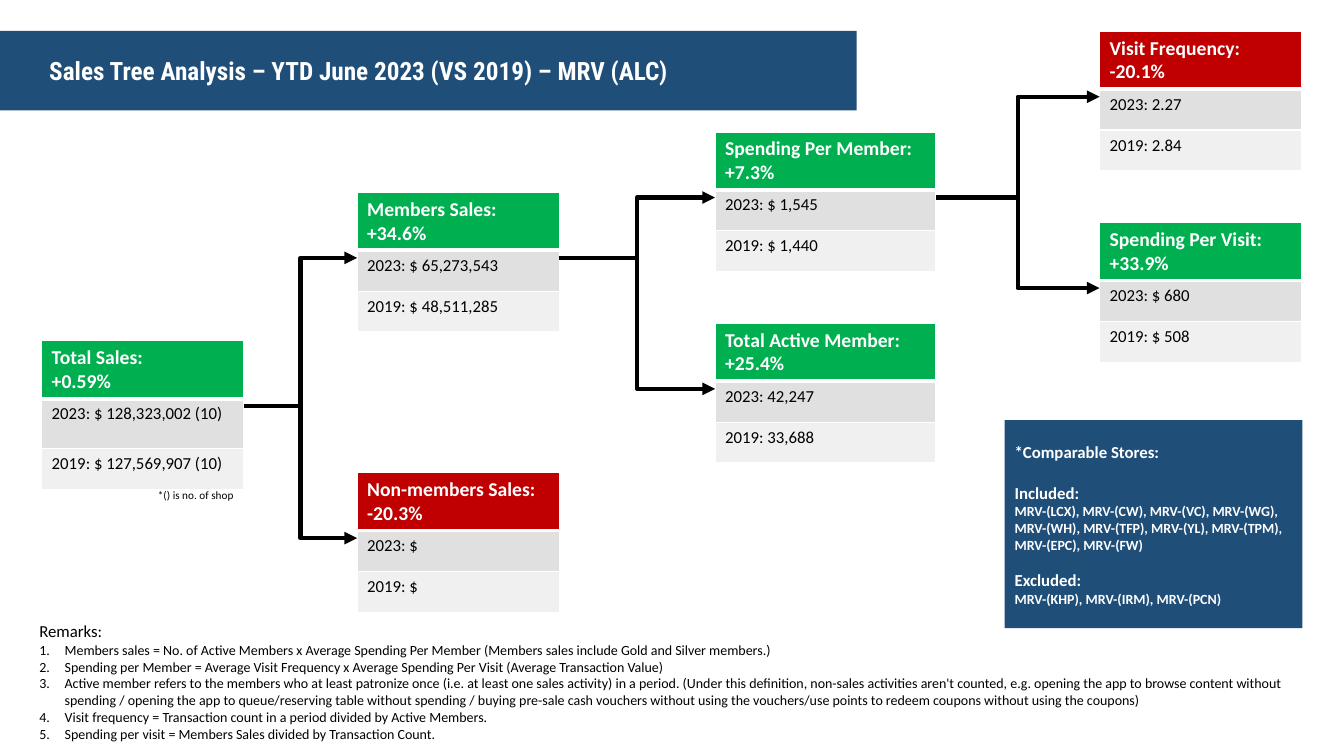
from dataclasses import dataclass
from typing import Any

from lxml.etree import SubElement
from pptx import Presentation
from pptx.dml.color import RGBColor
from pptx.enum.shapes import MSO_CONNECTOR, MSO_SHAPE
from pptx.enum.text import MSO_ANCHOR, MSO_AUTO_SIZE, PP_ALIGN
from pptx.oxml.ns import qn
from pptx.util import Cm, Pt

NAVY = RGBColor(0x1F, 0x4E, 0x79)
GREEN = RGBColor(0x00, 0xB0, 0x50)
RED = RGBColor(0xC0, 0x00, 0x00)
DARK = RGBColor(0xE0, 0xE0, 0xE0)
LIGHT = RGBColor(0xF0, 0xF0, 0xF0)
WHITE = RGBColor(0xFF, 0xFF, 0xFF)
BLACK = RGBColor(0x00, 0x00, 0x00)

HEAD, ROW, PORT = 1.4, 1.03, 1.65

FRAME = {
    "word_wrap": True,
    "auto_size": MSO_AUTO_SIZE.NONE,
    "vertical_anchor": MSO_ANCHOR.TOP,
    "margin_left": Cm(0.25),
    "margin_right": Cm(0.25),
    "margin_top": Cm(0.13),
    "margin_bottom": Cm(0.13),
}
PARA = {
    "alignment": PP_ALIGN.LEFT,
    "space_before": Pt(0),
    "space_after": Pt(0),
    "line_spacing": 1.0,
}


@dataclass
class Node:
    """A box of the sales tree, in centimetres."""
    name: str
    rate: str
    now: str
    past: str
    left: float
    top: float
    width: float = 5.1
    tall: float = ROW


@dataclass
class Line:
    text: str
    size: float
    gap: float = 0


TREE = {
    "total": Node("Total Sales:", "+0.59%", "$ 128,323,002 (10)", "$ 127,569,907 (10)",
                  1.05, 8.59, tall=1.26),
    "member": Node("Members Sales:", "+34.6%", "$ 65,273,543", "$ 48,511,285", 9, 4.85),
    "spend": Node("Spending Per Member:", "+7.3%", "$ 1,545", "$ 1,440", 18.02, 3.33, 5.57),
    "active": Node("Total Active Member:", "+25.4%", "42,247", "33,688", 18.02, 8.15, 5.57),
    "freq": Node("Visit Frequency:", "-20.1%", "2.27", "2.84", 27.71, 0.79),
    "visit": Node("Spending Per Visit:", "+33.9%", "$ 680", "$ 508", 27.71, 5.61),
    "other": Node("Non-members Sales:", "-20.3%", "$", "$", 9, 11.91),
}
LINKS = [("total", "other"), ("total", "member"), ("member", "spend"),
         ("member", "active"), ("spend", "freq"), ("spend", "visit")]

STORES = [
    Line("*Comparable Stores:", 12),
    Line("Included:", 12, 14.6),
    Line("MRV-(LCX), MRV-(CW), MRV-(VC), MRV-(WG),", 10),
    Line("MRV-(WH), MRV-(TFP), MRV-(YL), MRV-(TPM),", 10),
    Line("MRV-(EPC), MRV-(FW)", 10),
    Line("Excluded:", 12, 12.2),
    Line("MRV-(KHP), MRV-(IRM), MRV-(PCN)", 10),
]
NOTES = [
    Line("Remarks:", 12),
    Line("Members sales = No. of Active Members x Average Spending Per Member "
         "(Members sales include Gold and Silver members.)", 10),
    Line("Spending per Member = Average Visit Frequency x Average Spending Per Visit "
         "(Average Transaction Value)", 10),
    Line("Active member refers to the members who at least patronize once (i.e. at least one "
         "sales activity) in a period. (Under this definition, non-sales activities aren't "
         "counted, e.g. opening the app to browse content without spending / opening the app to "
         "queue/reserving table without spending / buying pre-sale cash vouchers without using "
         "the vouchers/use points to redeem coupons without using the coupons)", 10),
    Line("Visit frequency = Transaction count in a period divided by Active Members.", 10),
    Line("Spending per visit = Members Sales divided by Transaction Count.", 10),
]


def apply(item: Any, form: dict[str, Any]) -> None:
    for key, value in form.items():
        setattr(item, key, value)


def place(shape: Any, left: float, top: float, width: float, height: float) -> None:
    apply(shape, {"left": Cm(left), "top": Cm(top), "width": Cm(width), "height": Cm(height)})


def paint(shape: Any, color: RGBColor) -> None:
    shape.fill.solid()
    shape.fill.fore_color.rgb = color


def write(frame: Any, lines: list[Line], color: RGBColor, bold: bool = False,
          face: str = "Calibri") -> None:
    for i, line in enumerate(lines):
        para = frame.paragraphs[0] if i == 0 else frame.add_paragraph()
        apply(para, PARA | {"space_before": Pt(line.gap)})
        run = para.add_run()
        run.text = line.text
        apply(run.font, {"name": face, "size": Pt(line.size), "bold": bold})
        run.font.color.rgb = color


def edge(cell: Any, top: float, bottom: float) -> None:
    props = cell._tc.get_or_add_tcPr()
    for side, width in {"L": 0.96, "R": 0.96, "T": top, "B": bottom}.items():
        line = SubElement(props, qn(f"a:ln{side}"), w=str(Pt(width)))
        fill = SubElement(line, qn("a:solidFill"))
        SubElement(fill, qn("a:srgbClr"), val=str(WHITE))


def draw_node(shapes: Any, node: Node) -> None:
    sizes = [HEAD, node.tall, ROW]
    grid = shapes.add_table(3, 1, Cm(node.left), Cm(node.top),
                            Cm(node.width), Cm(sum(sizes))).table
    tint = GREEN if node.rate.startswith("+") else RED
    rows = [
        ([Line(node.name, 14), Line(node.rate, 14)], tint, WHITE, 0.96, 3),
        ([Line(f"2023: {node.now}", 12)], DARK, BLACK, 3, 0.96),
        ([Line(f"2019: {node.past}", 12)], LIGHT, BLACK, 0.96, 0.96),
    ]
    for i, (lines, fill, ink, top, bottom) in enumerate(rows):
        grid.rows[i].height = Cm(sizes[i])
        cell = grid.cell(i, 0)
        edge(cell, top, bottom)
        paint(cell, fill)
        write(cell.text_frame, lines, ink, bold=i == 0)


def draw_link(shapes: Any, start: Node, end: Node) -> None:
    link = shapes.add_connector(
        MSO_CONNECTOR.ELBOW, Cm(start.left + start.width), Cm(start.top + PORT),
        Cm(end.left), Cm(end.top + PORT))
    link.line.color.rgb = BLACK
    link.line.width = Pt(3)
    SubElement(link.line._get_or_add_ln(), qn("a:tailEnd"), type="triangle")
    SubElement(link._element.spPr, qn("a:effectLst"))


def main() -> None:
    deck = Presentation()
    apply(deck, {"slide_width": Cm(33.87), "slide_height": Cm(19.05)})
    slide = deck.slides.add_slide(deck.slide_layouts[1])
    shapes = slide.shapes

    # Title band
    title = shapes.title
    place(title, 0, 0.78, 21.59, 2)
    paint(title, NAVY)
    apply(title.text_frame, FRAME | {"vertical_anchor": MSO_ANCHOR.MIDDLE,
                                     "margin_left": Cm(1.24)})
    write(title.text_frame, [Line("Sales Tree Analysis – YTD June 2023 (VS 2019) – MRV (ALC)", 18)],
          WHITE, True, "Roboto Condensed")

    # Sales tree
    for node in TREE.values():
        draw_node(shapes, node)
    for start, end in LINKS:
        draw_link(shapes, TREE[start], TREE[end])

    # Remarks
    body = slide.placeholders[1]
    place(body, 0.74, 15.52, 32.36, 3.5)
    apply(body.text_frame, FRAME)
    write(body.text_frame, NOTES, BLACK)
    for i, para in enumerate(body.text_frame.paragraphs):
        props = para._p.get_or_add_pPr()
        dent = Cm(0.64) if i else 0
        props.set("marL", str(dent))
        props.set("indent", str(-dent))
        if i:
            SubElement(props, qn("a:buFont"), typeface="+mj-lt")
            SubElement(props, qn("a:buAutoNum"), type="arabicPeriod")
        else:
            SubElement(props, qn("a:buNone"))

    # Shop count note
    hint = shapes.add_textbox(Cm(2.64), Cm(12.17), Cm(3.5), Cm(0.58)).text_frame
    apply(hint, FRAME)
    write(hint, [Line("*() is no. of shop", 8)], BLACK)
    hint.paragraphs[0].alignment = PP_ALIGN.RIGHT

    # Comparable stores
    panel = shapes.add_shape(MSO_SHAPE.RECTANGLE, Cm(25.32), Cm(10.59), Cm(7.5), Cm(5.24))
    panel.shadow.inherit = False
    paint(panel, NAVY)
    panel.line.fill.background()
    apply(panel.text_frame, FRAME | {"margin_top": Cm(0.54)})
    write(panel.text_frame, STORES, WHITE, True)

    deck.save("out.pptx")


if __name__ == "__main__":
    main()
